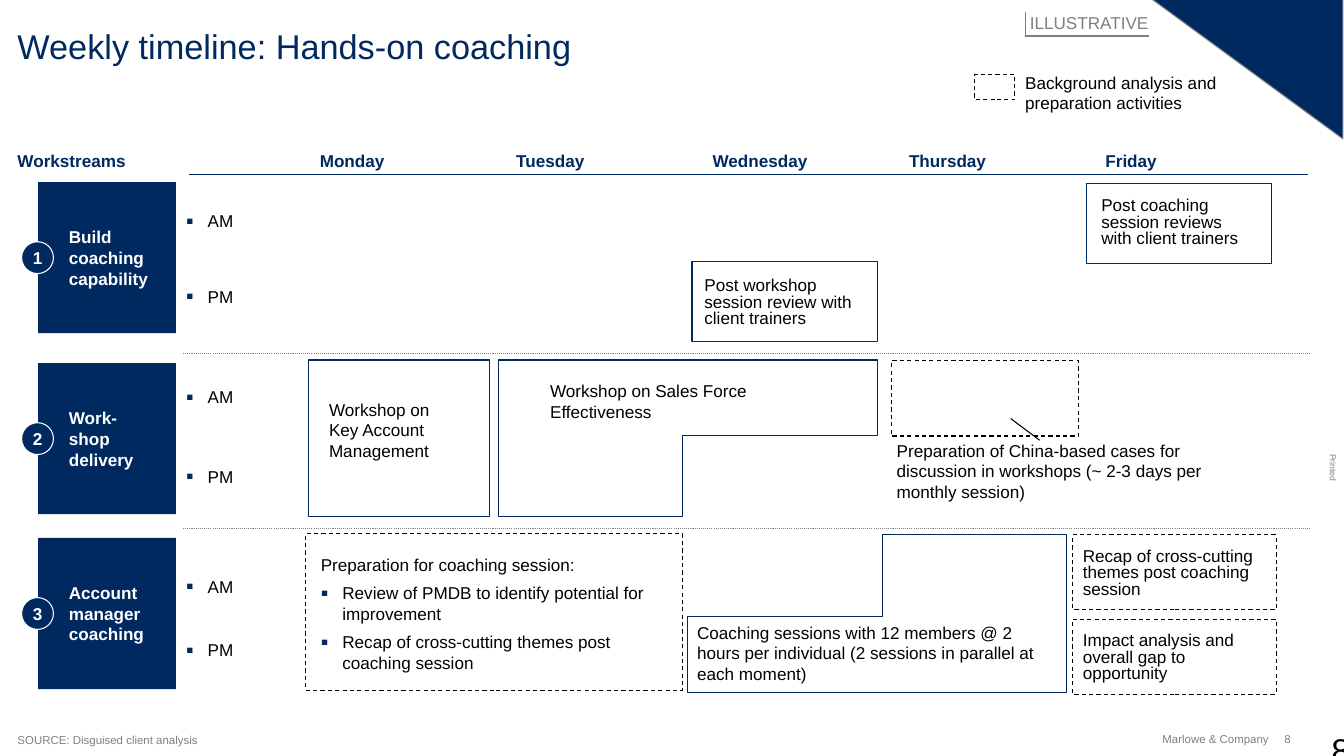
from dataclasses import dataclass

from lxml.etree import SubElement
from pptx import Presentation
from pptx.dml.color import RGBColor
from pptx.enum.dml import MSO_LINE
from pptx.enum.shapes import MSO_CONNECTOR, MSO_SHAPE
from pptx.enum.text import MSO_ANCHOR, PP_ALIGN
from pptx.oxml.ns import qn
from pptx.util import Inches, Pt

NAVY = RGBColor(0x00, 0x29, 0x60)
GRAY = RGBColor(0x80, 0x80, 0x80)
BLACK = RGBColor(0x00, 0x00, 0x00)
WHITE = RGBColor(0xFF, 0xFF, 0xFF)

Box = tuple[float, float, float, float]  # left, top, width, height
Point = tuple[float, float]


@dataclass
class Workstream:
    name: str
    top: float
    am_top: float
    pm_top: float


@dataclass
class Activity:
    text: str
    text_box: Box
    frame: Box | None = None
    outline: list[Point] | None = None
    dashed: bool = False
    spacing: float | None = None


WORKSTREAMS = [
    Workstream("Build coaching capability", 1.77, 2.05, 2.78),
    Workstream("Work-\vshop delivery", 3.53, 3.76, 4.53),
    Workstream("Account manager coaching", 5.23, 5.6, 6.22),
]
DAYS = ["Monday", "Tuesday", "Wednesday", "Thursday", "Friday"]
ACTIVITIES = [
    Activity("Background analysis and preparation activities", (9.97, 0.7, 2.03, 0.4),
             frame=(9.48, 0.72, 0.39, 0.25), dashed=True),
    Activity("Post coaching session reviews with client trainers", (10.71, 1.93, 1.48, 0.48),
             frame=(10.57, 1.78, 1.8, 0.78), spacing=0.8),
    Activity("Post workshop session review with client trainers", (6.85, 2.71, 1.49, 0.48),
             frame=(6.73, 2.54, 1.8, 0.78), spacing=0.8),
    Activity("Workshop on Key Account Management", (3.2, 3.88, 1.3, 0.61),
             frame=(3, 3.5, 1.76, 1.52)),
    Activity("Workshop on Sales Force Effectiveness", (5.35, 3.7, 2.27, 0.4),
             outline=[(4.85, 3.5), (4.85, 5.02), (6.64, 5.02), (6.64, 4.23), (8.53, 4.23), (8.53, 3.5)]),
    Activity("Preparation of China-based cases for discussion in workshops "
             "(~ 2-3 days per monthly session)", (8.72, 4.28, 3.58, 0.61),
             frame=(8.67, 3.51, 1.82, 0.73), dashed=True),
    Activity("Coaching sessions with 12 members @ 2 hours per individual "
             "(2 sessions in parallel at each moment)", (6.78, 6.05, 3.47, 0.61),
             outline=[(6.69, 6.73), (6.69, 5.99), (8.58, 5.99), (8.58, 5.2), (10.37, 5.2), (10.37, 6.73)]),
    Activity("Recap of cross-cutting themes post coaching session", (10.53, 5.34, 1.82, 0.48),
             frame=(10.43, 5.2, 1.98, 0.73), dashed=True, spacing=0.8),
    Activity("Impact analysis and overall gap to opportunity", (10.53, 6.16, 1.82, 0.48),
             frame=(10.43, 6.02, 1.98, 0.73), dashed=True, spacing=0.8),
]
PREPARATION_FRAME = (2.97, 5.19, 3.67, 1.52)
PREPARATION_STEPS = [
    "Review of PMDB to identify potential for improvement",
    "Recap of cross-cutting themes post coaching session",
]

presentation = Presentation()
presentation.slide_width, presentation.slide_height = Inches(13.07), Inches(7.35)
slide = presentation.slides.add_slide(presentation.slide_layouts[6])
shapes = slide.shapes


def write(frame, text: str, *, size: float = 12, color: RGBColor = BLACK, bold: bool = False,
          align=PP_ALIGN.LEFT, anchor=MSO_ANCHOR.TOP, insets: Box = (0, 0, 0, 0), wrap: bool = True,
          spacing: float | None = None, before: float = 0, left: float = 0, hanging: float = 0,
          bullet: bool = False, append: bool = False) -> None:
    """Write one paragraph; insets run left, top, right, bottom."""
    frame.word_wrap, frame.vertical_anchor = wrap, anchor
    frame.margin_left, frame.margin_top, frame.margin_right, frame.margin_bottom = map(Inches, insets)
    paragraph = frame.add_paragraph() if append else frame.paragraphs[0]
    paragraph.text = text
    properties = paragraph._p.get_or_add_pPr()
    if bullet:
        paragraph.level, left, hanging = 1, 0.21, 0.21
        SubElement(SubElement(properties, qn("a:buClr")), qn("a:srgbClr"), val=str(NAVY))
        SubElement(properties, qn("a:buSzPct"), val="125000")
        SubElement(properties, qn("a:buFont"), typeface="Arial")
        SubElement(properties, qn("a:buChar"), char="▪")
    properties.set("marL", str(Inches(left)))
    properties.set("indent", str(-Inches(hanging)))
    paragraph.alignment = align
    if spacing:
        paragraph.line_spacing = spacing
    if before:
        paragraph.space_before = Pt(before)
    for run in paragraph.runs:
        run.font.name, run.font.size, run.font.bold = "Arial", Pt(size), bold
        run.font.color.rgb = color


def label(text: str, box: Box, **style):
    text_box = shapes.add_textbox(*map(Inches, box))
    write(text_box.text_frame, text, **style)
    return text_box


def paint(shape, fill: RGBColor | None, line: RGBColor | None, dashed: bool = False) -> None:
    shape.shadow.inherit = False
    if fill is None:
        shape.fill.background()
    else:
        shape.fill.solid()
        shape.fill.fore_color.rgb = fill
    if line is None:
        shape.line.fill.background()
    else:
        shape.line.color.rgb, shape.line.width = line, Pt(0.75)
    if dashed:
        shape.line.dash_style = MSO_LINE.DASH


def block(kind: MSO_SHAPE, box: Box, fill: RGBColor | None = None,
          line: RGBColor | None = None, dashed: bool = False):
    shape = shapes.add_shape(kind, *map(Inches, box))
    paint(shape, fill, line, dashed)
    return shape


def rule(start: Point, end: Point, color: RGBColor, width: float = 0.75, dotted: bool = False) -> None:
    connector = shapes.add_connector(MSO_CONNECTOR.STRAIGHT, *map(Inches, start + end))
    connector.line.color.rgb, connector.line.width = color, Pt(width)
    if dotted:
        connector.line.dash_style = MSO_LINE.ROUND_DOT
    SubElement(connector._element.spPr, qn("a:effectLst"))


def draw_workstream(number: int, stream: Workstream) -> None:
    name_block = block(MSO_SHAPE.RECTANGLE, (0.37, stream.top, 1.34, 1.47), NAVY)
    write(name_block.text_frame, stream.name, color=WHITE, bold=True, anchor=MSO_ANCHOR.MIDDLE,
          insets=(0.15, 0.08, 0.08, 0.08), left=0.15)
    badge = block(MSO_SHAPE.OVAL, (0.21, stream.top + 0.58, 0.31, 0.31), NAVY, WHITE)
    write(badge.text_frame, str(number), color=WHITE, bold=True, align=PP_ALIGN.CENTER,
          anchor=MSO_ANCHOR.MIDDLE, wrap=False)
    for half_day, top in (("AM", stream.am_top), ("PM", stream.pm_top)):
        label(half_day, (1.81, top, 1.09, 0.2), bullet=True)


def draw_activity(activity: Activity) -> None:
    line = BLACK if activity.dashed else NAVY
    if activity.frame:
        block(MSO_SHAPE.RECTANGLE, activity.frame, line=line, dashed=activity.dashed)
    if activity.outline:
        start, *corners = [(Inches(x), Inches(y)) for x, y in activity.outline]
        builder = shapes.build_freeform(*start)
        builder.add_line_segments(corners, close=True)
        paint(builder.convert_to_shape(), None, line, activity.dashed)
    label(activity.text, activity.text_box, spacing=activity.spacing)


# Corner, title and sticker
corner = block(MSO_SHAPE.ISOSCELES_TRIANGLE, (11.2, -0.01, 1.86, 1.36), NAVY, GRAY)
corner.adjustments[0] = 0
corner.rotation = 180
label("Weekly timeline: Hands-on coaching", (0.17, 0.25, 11.27, 0.4), size=24, color=NAVY)
label("ILLUSTRATIVE", (9.97, 0.12, 1.2, 0.23), color=GRAY, align=PP_ALIGN.RIGHT,
      insets=(0.03, 0, 0, 0.03), wrap=False)
rule((9.97, 0.12), (9.97, 0.35), GRAY)
rule((9.97, 0.35), (11.17, 0.35), GRAY, width=2)

# Column headings
label("Workstreams", (0.17, 1.46, 1.51, 0.2), color=NAVY, bold=True)
for column, day in enumerate(DAYS):
    label(day, (3.11 + 1.91 * column, 1.46, 1.42, 0.2), color=NAVY, bold=True, anchor=MSO_ANCHOR.BOTTOM)
rule((1.84, 1.7), (12.72, 1.7), NAVY)

# Workstream rows
for divider in (3.44, 5.14):
    rule((1.78, divider), (12.74, divider), GRAY, dotted=True)
for number, stream in enumerate(WORKSTREAMS, 1):
    draw_workstream(number, stream)

# Activities
for activity in ACTIVITIES:
    draw_activity(activity)
rule((10.11, 4.28), (9.83, 4.07), BLACK)
block(MSO_SHAPE.RECTANGLE, PREPARATION_FRAME, line=BLACK, dashed=True)
preparation = label("Preparation for coaching session:", (3.12, 5.39, 3.4, 1.21))
for step in PREPARATION_STEPS:
    write(preparation.text_frame, step, bullet=True, before=5.5, append=True)

# Footer and margin
label("SOURCE: Disguised client analysis", (0.17, 7.12, 10.88, 0.14), size=8, color=GRAY,
      anchor=MSO_ANCHOR.BOTTOM, left=0.54, hanging=0.54)
label("Marlowe & Company", (11.23, 7.12, 1.11, 0.13), size=8, color=GRAY,
      align=PP_ALIGN.RIGHT, anchor=MSO_ANCHOR.MIDDLE)
label("8", (12.49, 7.12, 0.14, 0.13), size=8, color=GRAY, anchor=MSO_ANCHOR.MIDDLE)
label("8", (12.85, 7.04, 0.21, 0.17), size=24, insets=(0.1, 0.05, 0.1, 0.05))
label("Printed", (12.83, 4.5, 0.27, 0.1), size=6, color=GRAY, wrap=False).rotation = 90

presentation.save("out.pptx")
